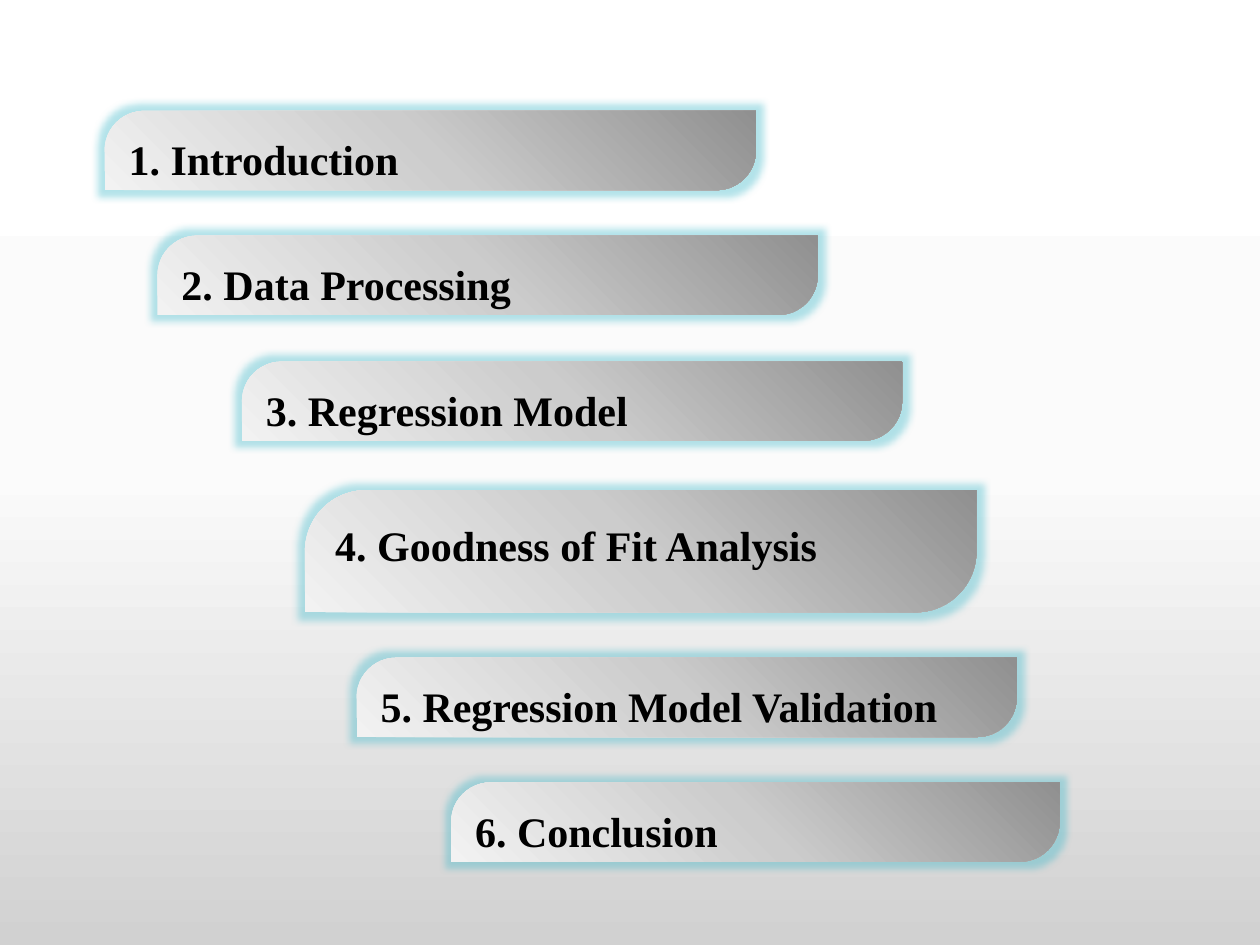
import pptx
import pptx.util
import pptx.oxml
import pptx.oxml.ns
import pptx.dml.color
import pptx.enum.shapes
import pptx.enum.text
from lxml import etree

W, H = 10, 7.5
FONT, SIZE, INK = "Times New Roman", 24, "000000"
GLOW, GLOW_PT, GLOW_ALPHA = "41B9CA", 8, 40
PAGE = [(0, "FFFFFF"), (50, "FBFBFB"), (100, "D1D1D1")]
BAR = [(0, "909090"), (50, "CCCCCC"), (100, "F2F2F2")]
DOWN = '<a:lin ang="5400000" scaled="0"/>'
CORNER = '<a:path path="circle"><a:fillToRect l="100000" b="100000"/></a:path>'
AGENDA = [
    ("1. Introduction", 0.83, 0.88, 5.17, 0.63),
    ("2. Data Processing", 1.25, 1.87, 5.24, 0.63),
    ("3. Regression Model", 1.92, 2.87, 5.24, 0.63),
    ("4. Goodness of Fit Analysis", 2.42, 3.89, 5.33, 0.97),
    ("5. Regression Model Validation", 2.83, 5.22, 5.24, 0.63),
    ("6. Conclusion", 3.58, 6.21, 4.83, 0.63),
]

inch = pptx.util.Inches
qn = pptx.oxml.ns.qn


def color(value):
    return pptx.dml.color.RGBColor.from_string(value)


def xml(tag, body, attrs=""):
    ns = pptx.oxml.ns.nsdecls("a")
    return pptx.oxml.parse_xml(f"<a:{tag} {ns} {attrs}>{body}</a:{tag}>")


def gradient(fill, holder, stops, direction):
    fill.solid()
    fill.fore_color.rgb = color(stops[0][1])
    gs = "".join(f'<a:gs pos="{pos * 1000}"><a:srgbClr val="{c}"/></a:gs>' for pos, c in stops)
    solid = next(holder.iter(qn("a:solidFill")))
    new = xml("gradFill", f"<a:gsLst>{gs}</a:gsLst>{direction}", 'rotWithShape="1"')
    solid.getparent().replace(solid, new)


def glow(s):
    s.shadow.inherit = False
    effects = s.element.spPr.find(qn("a:effectLst"))
    tint = f'<a:srgbClr val="{GLOW}"><a:alpha val="{GLOW_ALPHA * 1000}"/></a:srgbClr>'
    effects.append(xml("glow", tint, f'rad="{pptx.util.Pt(GLOW_PT)}"'))


def bar(slide, text, x, y, w, h):
    kind = pptx.enum.shapes.MSO_SHAPE.ROUND_2_DIAG_RECTANGLE
    s = slide.shapes.add_shape(kind, inch(x), inch(y), inch(w), inch(h))
    s.adjustments[0], s.adjustments[1] = 0.5, 0
    gradient(s.fill, s.element.spPr, BAR, CORNER)
    s.line.fill.background()
    glow(s)
    tf = s.text_frame
    tf.word_wrap = True
    tf.vertical_anchor = pptx.enum.text.MSO_ANCHOR.TOP
    tf.margin_top, tf.margin_bottom = inch(0.09), 0
    p = tf.paragraphs[0]
    p.alignment = pptx.enum.text.PP_ALIGN.LEFT
    r = p.add_run()
    r.text = text
    r.font.name, r.font.size, r.font.bold = FONT, pptx.util.Pt(SIZE), True
    r.font.color.rgb = color(INK)


prs = pptx.Presentation()
prs.slide_width, prs.slide_height = inch(W), inch(H)
slide = prs.slides.add_slide(prs.slide_layouts[6])
gradient(slide.background.fill, slide.element, PAGE, DOWN)
for item in AGENDA:
    bar(slide, *item)
prs.save("out.pptx")
